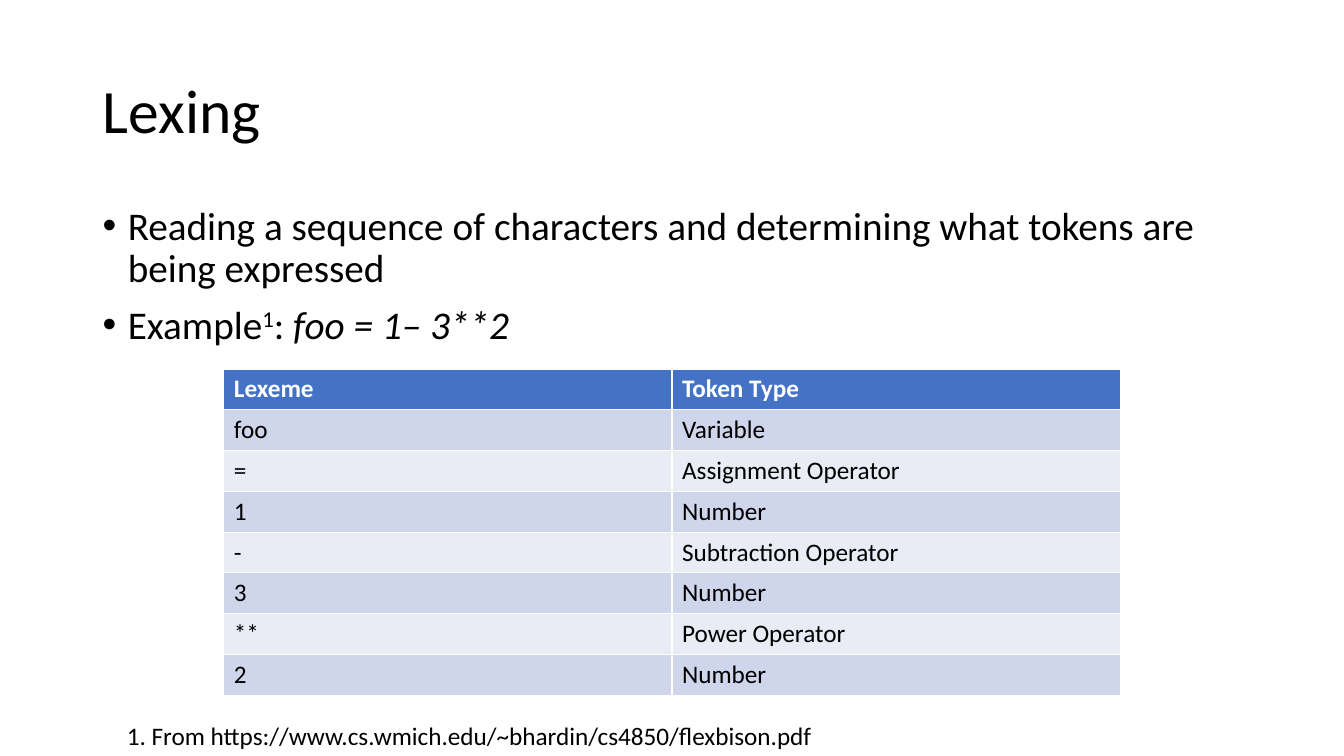
from lxml import etree
from pptx import Presentation
from pptx.dml.color import RGBColor
from pptx.enum.text import MSO_ANCHOR, MSO_AUTO_SIZE, PP_ALIGN
from pptx.oxml.ns import qn
from pptx.util import Inches, Pt

MIDDLE = MSO_ANCHOR.MIDDLE
NO_FIT = MSO_AUTO_SIZE.NONE
LEFT = PP_ALIGN.LEFT
TITLE_ONLY = 5

BLACK = "000000"
WHITE = "FFFFFF"
HEADER_FILL = "4472C4"
BAND_FILLS = ["CFD5EA", "E9EBF5"]

BULLETS = [
    [("Reading a sequence of characters and determining what tokens are being expressed", {})],
    [
        ("Example", {}),
        ("1", {"baseline": "30000"}),
        (": ", {}),
        ("foo = 1– 3**2", {"i": "1"}),
    ],
]
TOKENS = [
    ("Lexeme", "Token Type"),
    ("foo", "Variable"),
    ("=", "Assignment Operator"),
    ("1", "Number"),
    ("-", "Subtraction Operator"),
    ("3", "Number"),
    ("**", "Power Operator"),
    ("2", "Number"),
]
SOURCE = "1. From https://www.cs.wmich.edu/~bhardin/cs4850/flexbison.pdf"


def color(value):
    return RGBColor.from_string(value)


def inches(box):
    return [Inches(length) for length in box]


def format_text(para, size, fill=BLACK, **values):
    values = {"name": "Calibri", "size": Pt(size), **values}
    for name, value in values.items():
        setattr(para.font, name, value)
        for span in para.runs:
            setattr(span.font, name, value)
    for span in para.runs:
        span.font.color.rgb = color(fill)


def add_title(page, box, text):
    title = page.shapes.title
    title.left, title.top, title.width, title.height = inches(box)
    frame = title.text_frame
    frame.text = text
    frame.auto_size = NO_FIT
    frame.vertical_anchor = MIDDLE
    para = frame.paragraphs[0]
    para.alignment = LEFT
    para.line_spacing = 0.9
    format_text(para, 44)


def add_bullets(page, box, bullets):
    frame = page.shapes.add_textbox(*inches(box)).text_frame
    frame.word_wrap = True
    for index, spans in enumerate(bullets):
        para = frame.add_paragraph() if index else frame.paragraphs[0]
        para.line_spacing = 0.9
        para.space_before = Pt(10 if index else 0)
        properties = para._p.get_or_add_pPr()
        properties.set("marL", str(Inches(0.25)))
        properties.set("indent", str(-Inches(0.25)))
        etree.SubElement(properties, qn("a:buFont"), typeface="Arial")
        etree.SubElement(properties, qn("a:buChar"), char="•")
        for text, attributes in spans:
            span = para.add_run()
            span.text = text
            for name, value in attributes.items():
                span._r.get_or_add_rPr().set(name, value)
        format_text(para, 28)


def add_token_table(page, box, rows):
    table = page.shapes.add_table(len(rows), len(rows[0]), *inches(box)).table
    for row_index, row in enumerate(rows):
        header = row_index == 0
        for column_index, text in enumerate(row):
            cell = table.cell(row_index, column_index)
            cell.text = text
            cell.fill.solid()
            fill = HEADER_FILL if header else BAND_FILLS[(row_index - 1) % 2]
            cell.fill.fore_color.rgb = color(fill)
            format_text(cell.text_frame.paragraphs[0], 18, WHITE if header else BLACK, bold=header)


def add_source(page, box, text):
    frame = page.shapes.add_textbox(*inches(box)).text_frame
    frame.word_wrap = False
    frame.text = text
    format_text(frame.paragraphs[0], 18)


def main():
    deck = Presentation()
    deck.slide_width, deck.slide_height = inches((13.33, 7.5))
    page = deck.slides.add_slide(deck.slide_layouts[TITLE_ONLY])
    add_title(page, (0.92, 0.4, 11.5, 1.45), "Lexing")
    add_bullets(page, (0.92, 2, 11.5, 4.76), BULLETS)
    add_token_table(page, (2.22, 3.66, 8.89, 3.24), TOKENS)
    add_source(page, (1.16, 7.1, 7.02, 0.4), SOURCE)
    deck.save("out.pptx")


if __name__ == "__main__":
    main()
